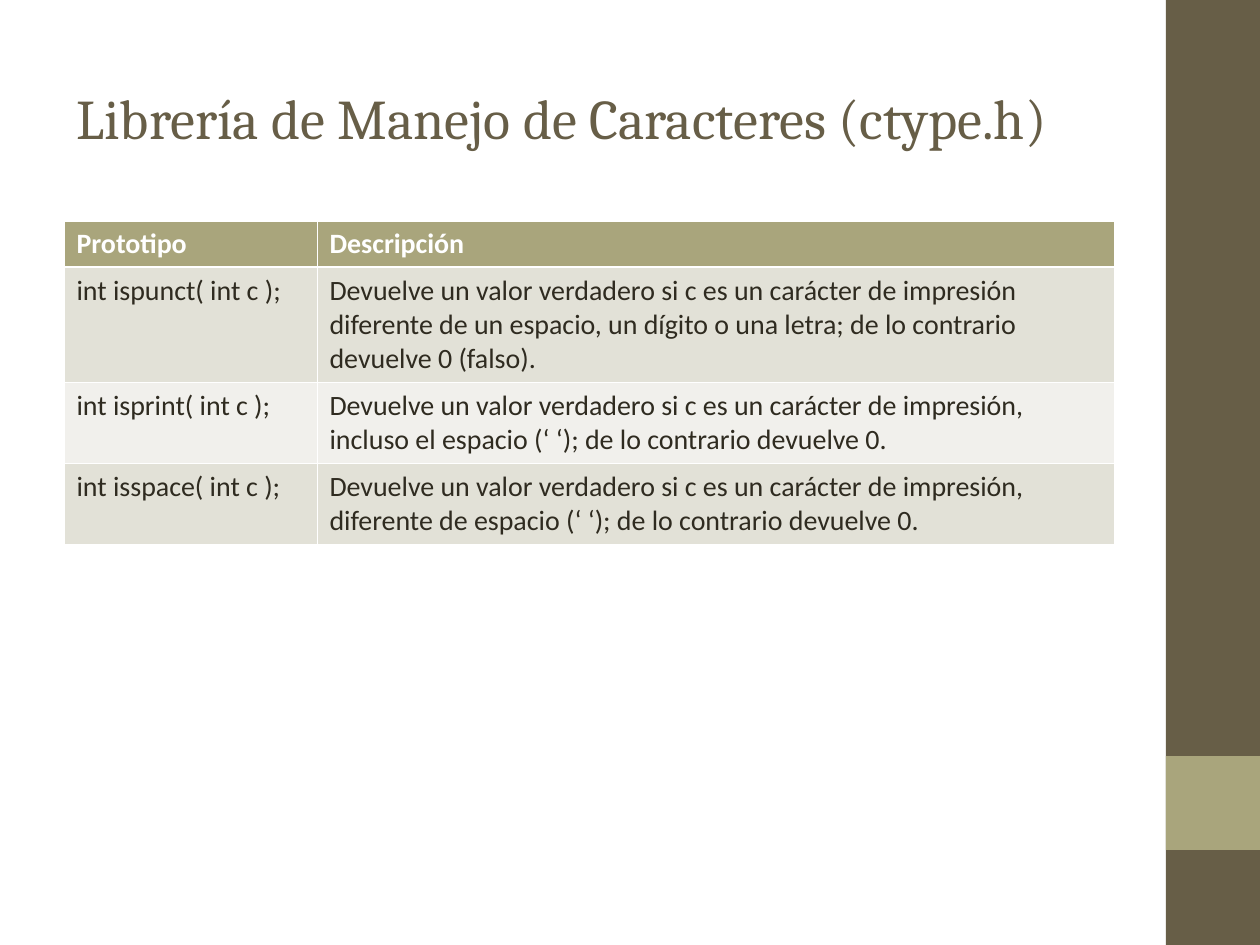
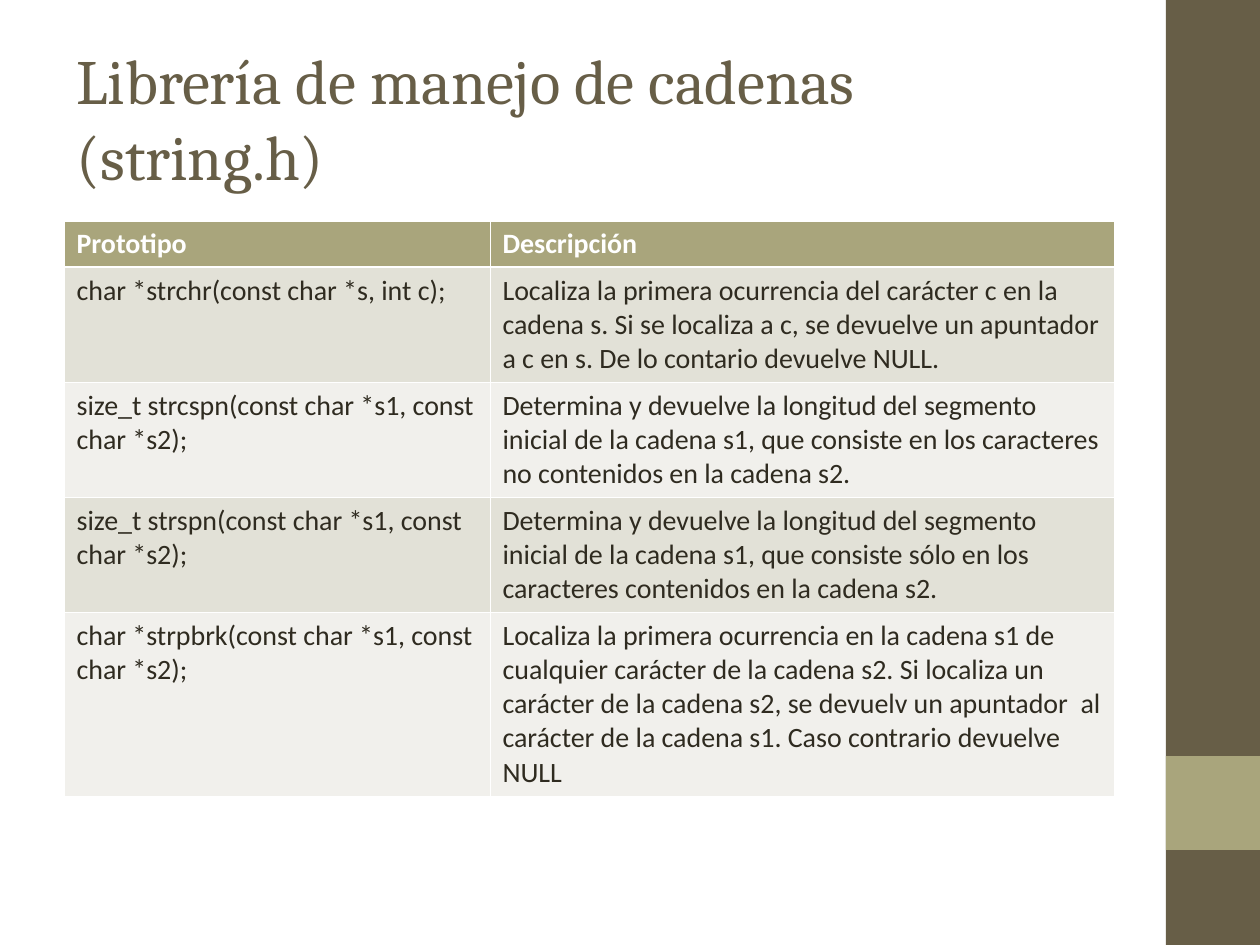
from lxml.etree import SubElement
from pptx import Presentation
from pptx.dml.color import RGBColor
from pptx.enum.shapes import MSO_SHAPE
from pptx.enum.text import MSO_ANCHOR
from pptx.oxml.ns import qn
from pptx.util import Emu, Pt

PX_PER_INCH = 126
COLORS = {
    "brown": "675E47",
    "olive": "A9A57C",
    "odd_row": "E2E1D7",
    "even_row": "F1F0EC",
    "ink": "2F2B20",
    "white": "FFFFFF",
}
TITLE_FONT, BODY_FONT = "Cambria", "Calibri"
BANDS = [(0, 945, "brown"), (756, 94, "olive")]
HEADER = ("Prototipo", "Descripción")
HEADER_HEIGHT = 46
ROW_HEIGHTS = {2: 81, 3: 115, 5: 184}  # by number of text lines

# Each library: title, title size, column widths, rows of (lines, prototype, description)
LIBRARIES = [
    ("Librería de Manejo de Caracteres (ctype.h)", 32, (253, 797), [
        (3, "int ispunct( int c );",
         "Devuelve un valor verdadero si c es un carácter de impresión diferente de "
         "un espacio, un dígito o una letra; de lo contrario devuelve 0 (falso)."),
        (2, "int isprint( int c );",
         "Devuelve un valor verdadero si c es un carácter de impresión, incluso el "
         "espacio (‘ ‘); de lo contrario devuelve 0."),
        (2, "int isspace( int c );",
         "Devuelve un valor verdadero si c es un carácter de impresión, diferente de "
         "espacio (‘ ‘); de lo contrario devuelve 0."),
    ]),
    ("Librería de manejo de cadenas (string.h)", 36, (426, 624), [
        (3, "char *strchr(const char *s, int c);",
         "Localiza la primera ocurrencia del carácter c en la cadena s. Si se localiza "
         "a c, se devuelve un apuntador a c en s. De lo contario devuelve NULL."),
        (3, "size_t strcspn(const char *s1, const char *s2);",
         "Determina y devuelve la longitud del segmento inicial de la cadena s1, que "
         "consiste en los caracteres no contenidos en la cadena s2."),
        (3, "size_t strspn(const char *s1, const char *s2);",
         "Determina y devuelve la longitud del segmento inicial de la cadena s1, que "
         "consiste sólo en los caracteres contenidos en la cadena s2."),
        (5, "char *strpbrk(const char *s1, const char *s2);",
         "Localiza la primera ocurrencia en la cadena s1 de cualquier carácter de la "
         "cadena s2. Si localiza un carácter de la cadena s2, se devuelv un apuntador  "
         "al carácter de la cadena s1. Caso contrario devuelve NULL"),
    ]),
]


def px(length):
    return Emu(round(length * 914400 / PX_PER_INCH))


def add_run(paragraph, text, font, size, color, bold=False):
    run = paragraph.add_run()
    run.text = text
    run.font.name = font
    run.font.size = Pt(size)
    run.font.bold = bold
    run.font.color.rgb = RGBColor.from_string(COLORS[color])


deck = Presentation()
deck.slide_width, deck.slide_height = px(1260), px(945)

for heading, heading_size, column_widths, functions in LIBRARIES:
    slide = deck.slides.add_slide(deck.slide_layouts[6])

    # Side bands
    for top, height, color in BANDS:
        band = slide.shapes.add_shape(
            MSO_SHAPE.RECTANGLE, px(1166), px(top), px(94), px(height))
        band.shadow.inherit = False
        band.fill.solid()
        band.fill.fore_color.rgb = RGBColor.from_string(COLORS[color])
        band.line.fill.background()

    # Title
    title = slide.shapes.add_textbox(px(64), px(38), px(1050), px(158)).text_frame
    title.word_wrap = True
    title.vertical_anchor = MSO_ANCHOR.MIDDLE
    add_run(title.paragraphs[0], heading, TITLE_FONT, heading_size, "brown")

    # Function table
    row_heights = [HEADER_HEIGHT] + [ROW_HEIGHTS[lines] for lines, *_ in functions]
    rows = [HEADER] + [texts for _, *texts in functions]
    table = slide.shapes.add_table(
        len(rows), 2, px(64), px(221), px(1050), px(sum(row_heights))).table
    for column, width in zip(table.columns, column_widths):
        column.width = px(width)
    for r, (texts, height) in enumerate(zip(rows, row_heights)):
        table.rows[r].height = px(height)
        is_header = r == 0
        fill = "olive" if is_header else "odd_row" if r % 2 else "even_row"
        for c, text in enumerate(texts):
            cell = table.cell(r, c)
            # White rules, thicker under the header
            for side in "LRTB":
                thick = (r, side) in ((0, "B"), (1, "T"))
                rule = SubElement(cell._tc.get_or_add_tcPr(), qn(f"a:ln{side}"),
                                  w=str(Pt(1.47 if thick else 0.45)))
                SubElement(SubElement(rule, qn("a:solidFill")), qn("a:srgbClr"),
                           val=COLORS["white"])
            cell.fill.solid()
            cell.fill.fore_color.rgb = RGBColor.from_string(COLORS[fill])
            add_run(cell.text_frame.paragraphs[0], text, BODY_FONT, 16,
                    "white" if is_header else "ink", is_header)

deck.save("out.pptx")
